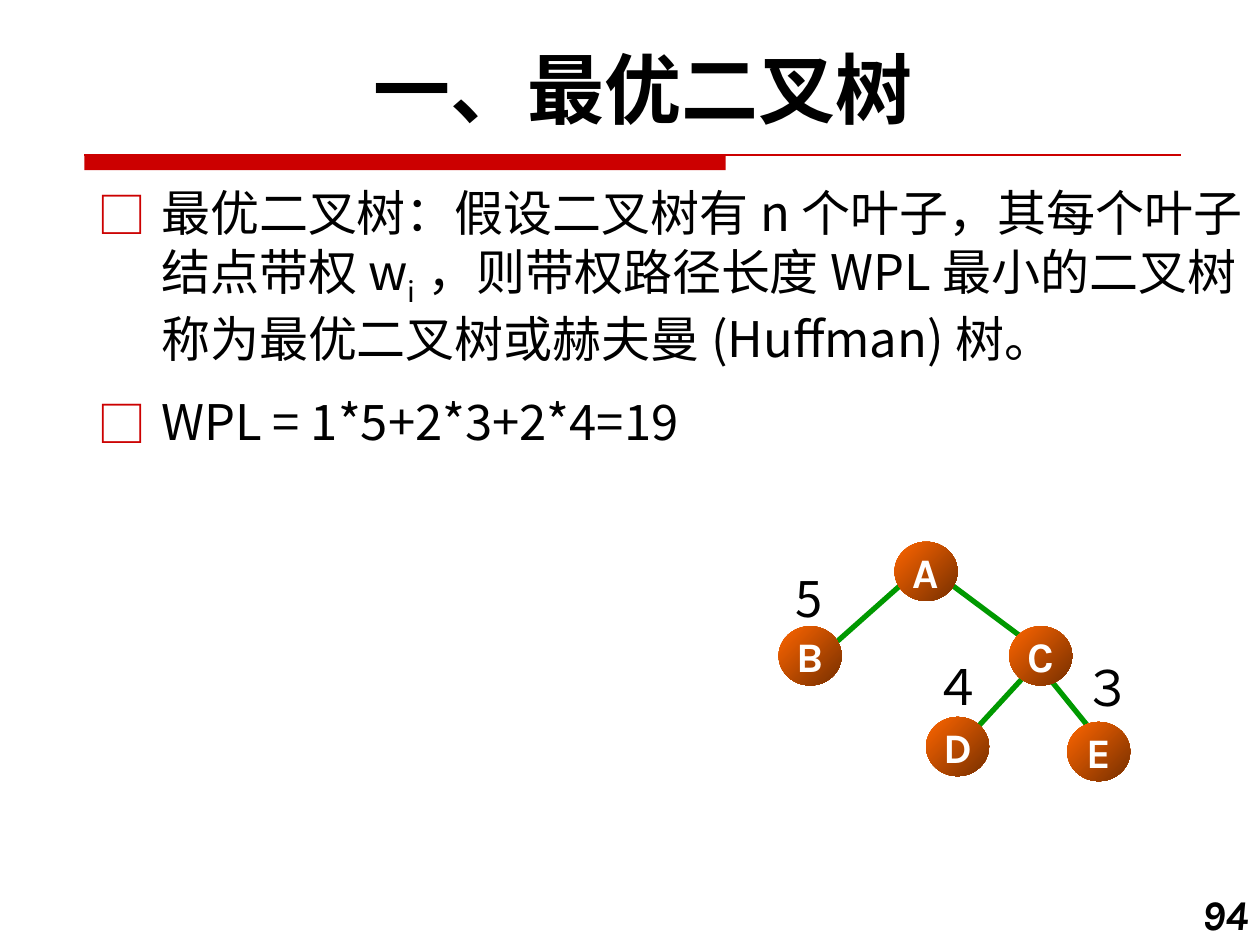
import dataclasses

import pptx
import pptx.dml.color
import pptx.enum.shapes
import pptx.enum.text
import pptx.oxml
import pptx.oxml.ns
import pptx.util
from lxml import etree

PX = 9144  # EMU in one px, 100 px to the inch
ALIGN = pptx.enum.text.PP_ALIGN
ANCHOR = pptx.enum.text.MSO_ANCHOR
SHAPE = pptx.enum.shapes.MSO_SHAPE


@dataclasses.dataclass(frozen=True)
class Theme:
    text: str = "000000"
    accent: str = "CC0000"
    edge: str = "009900"
    node_light: str = "FF6600"
    node_dark: str = "762F00"
    node_text: str = "FFFFFF"
    heading_font: str = "Karla"
    body_font: str = "Noto Sans CJK SC"
    title_size: int = 44
    body_size: int = 28
    small_size: int = 24


def rgb(code):
    return pptx.dml.color.RGBColor.from_string(code)


def add_xml(parent, tag, **attributes):
    return etree.SubElement(parent, pptx.oxml.ns.qn(tag), attributes)


class SlideBuilder:
    def __init__(self, slide, theme):
        self.slide = slide
        self.theme = theme

    def place(self, shape, left, top, width, height):
        shape.left, shape.top = left * PX, top * PX
        shape.width, shape.height = width * PX, height * PX

    def run(self, paragraph, text, size, font, color=None, bold=False,
            italic=False, baseline=0):
        run = paragraph.add_run()
        run.text = text
        run.font.size = pptx.util.Pt(size)
        run.font.bold, run.font.italic = bold, italic
        run.font.color.rgb = rgb(color or self.theme.text)
        run.font.name = font
        properties = run.font._element
        add_xml(properties, "a:ea", typeface=self.theme.body_font)
        if baseline:
            properties.set("baseline", str(baseline * 1000))

    def frame(self, shape, anchor=ANCHOR.TOP, wrap=True, side_inset=10):
        frame = shape.text_frame
        frame.auto_size = pptx.enum.text.MSO_AUTO_SIZE.NONE
        frame.word_wrap = wrap
        frame.vertical_anchor = anchor
        frame.margin_left = frame.margin_right = side_inset * PX
        frame.margin_top = frame.margin_bottom = 5 * PX
        return frame

    def title(self, text, *box):
        shape = self.slide.shapes.title
        self.place(shape, *box)
        paragraph = self.frame(shape).paragraphs[0]
        paragraph.alignment = ALIGN.CENTER
        paragraph.line_spacing = 0.9
        paragraph.space_before = pptx.util.Pt(0)
        self.run(paragraph, text, self.theme.title_size,
                 self.theme.heading_font, bold=True)

    def bullets(self, items, *box):
        """Each item is a list of (text, baseline shift in percent)."""
        shape = self.slide.placeholders[1]
        self.place(shape, *box)
        frame = self.frame(shape)
        for index, item in enumerate(items):
            paragraph = frame.add_paragraph() if index else frame.paragraphs[0]
            properties = paragraph._p.get_or_add_pPr()
            properties.set("marL", str(51 * PX))
            properties.set("indent", str(-51 * PX))
            color = add_xml(properties, "a:buClr")
            add_xml(color, "a:srgbClr", val=self.theme.accent)
            add_xml(properties, "a:buFont", typeface=self.theme.body_font)
            add_xml(properties, "a:buChar", char="□")
            paragraph.space_before = pptx.util.Pt(
                self.theme.body_size // 2 if index else 0)
            for text, baseline in item:
                self.run(paragraph, text, self.theme.body_size,
                         self.theme.body_font, baseline=baseline)

    def text(self, text, box, align, size, font, side_inset=10, **style):
        shape = self.slide.shapes.add_textbox(0, 0, 0, 0)
        self.place(shape, *box)
        paragraph = self.frame(shape, side_inset=side_inset).paragraphs[0]
        paragraph.alignment = align
        self.run(paragraph, text, size, font, **style)

    def bar(self, *box):
        shape = self.slide.shapes.add_shape(SHAPE.RECTANGLE, 0, 0, 0, 0)
        self.place(shape, *box)
        shape.shadow.inherit = False
        shape.fill.solid()
        shape.fill.fore_color.rgb = rgb(self.theme.accent)
        shape.line.fill.background()

    def line(self, start, end, color, width):
        connector = self.slide.shapes.add_connector(
            pptx.enum.shapes.MSO_CONNECTOR.STRAIGHT,
            *(value * PX for value in start + end))
        connector.line.color.rgb = rgb(color)
        connector.line.width = pptx.util.Pt(width)
        add_xml(connector._element.spPr, "a:effectLst")

    def node(self, text, left, top):
        shape = self.slide.shapes.add_shape(SHAPE.OVAL, 0, 0, 0, 0)
        self.place(shape, left, top, 50, 47)
        shape.shadow.inherit = False
        shape.fill.gradient()
        shape.fill.gradient_angle = 315
        colors = (self.theme.node_light, self.theme.node_dark)
        for position, (stop, color) in enumerate(
                zip(shape.fill.gradient_stops, colors)):
            stop.position = position
            stop.color.rgb = rgb(color)
        shape.line.fill.background()
        frame = self.frame(shape, ANCHOR.MIDDLE, wrap=False, side_inset=0)
        paragraph = frame.paragraphs[0]
        paragraph.alignment = ALIGN.CENTER
        self.run(paragraph, text, self.theme.small_size,
                 self.theme.heading_font, self.theme.node_text, bold=True)

    def weight(self, text, left, top):
        self.text(text, (left, top, 33, 57), ALIGN.CENTER,
                  self.theme.body_size, self.theme.body_font, side_inset=0)


def main():
    presentation = pptx.Presentation()
    presentation.slide_width = 1000 * PX
    presentation.slide_height = 750 * PX
    theme = Theme()
    slide = presentation.slides.add_slide(presentation.slide_layouts[1])
    builder = SlideBuilder(slide, theme)

    # Title with its divider
    builder.title("一、最优二叉树", 48, 36, 925, 77)
    builder.bar(67, 123, 509, 12)
    builder.line((67, 123), (937, 123), theme.accent, 0.75)

    # Definition and weighted path length
    builder.bullets([
        [("最优二叉树：假设二叉树有n个叶子，其每个叶子结点带权w", 0),
         ("i", -25),
         ("，则带权路径长度WPL最小的二叉树称为最优二叉树或赫夫曼(Huffman)树。", 0)],
        [("WPL = 1*5+2*3+2*4=19", 0)],
    ], 67, 140, 958, 244)

    # Tree edges, beneath the nodes
    edges = [
        ((747, 458), (810, 505)),
        ((722, 458), (660, 513)),
        ((822, 527), (776, 577)),
        ((826, 530), (864, 577)),
    ]
    for start, end in edges:
        builder.line(start, end, theme.edge, 3)

    # Tree nodes
    nodes = {"A": (710, 430), "B": (618, 497), "C": (801, 497),
             "D": (735, 569), "E": (847, 573)}
    for name, position in nodes.items():
        builder.node(name, *position)

    # Leaf weights
    weights = {"5": (626, 446), "３": (860, 517), "４": (741, 516)}
    for value, position in weights.items():
        builder.weight(value, *position)

    # Slide number
    builder.text("94", (933, 700, 67, 50), ALIGN.RIGHT, theme.small_size,
                 theme.heading_font, bold=True, italic=True)

    presentation.save("out.pptx")


if __name__ == "__main__":
    main()
